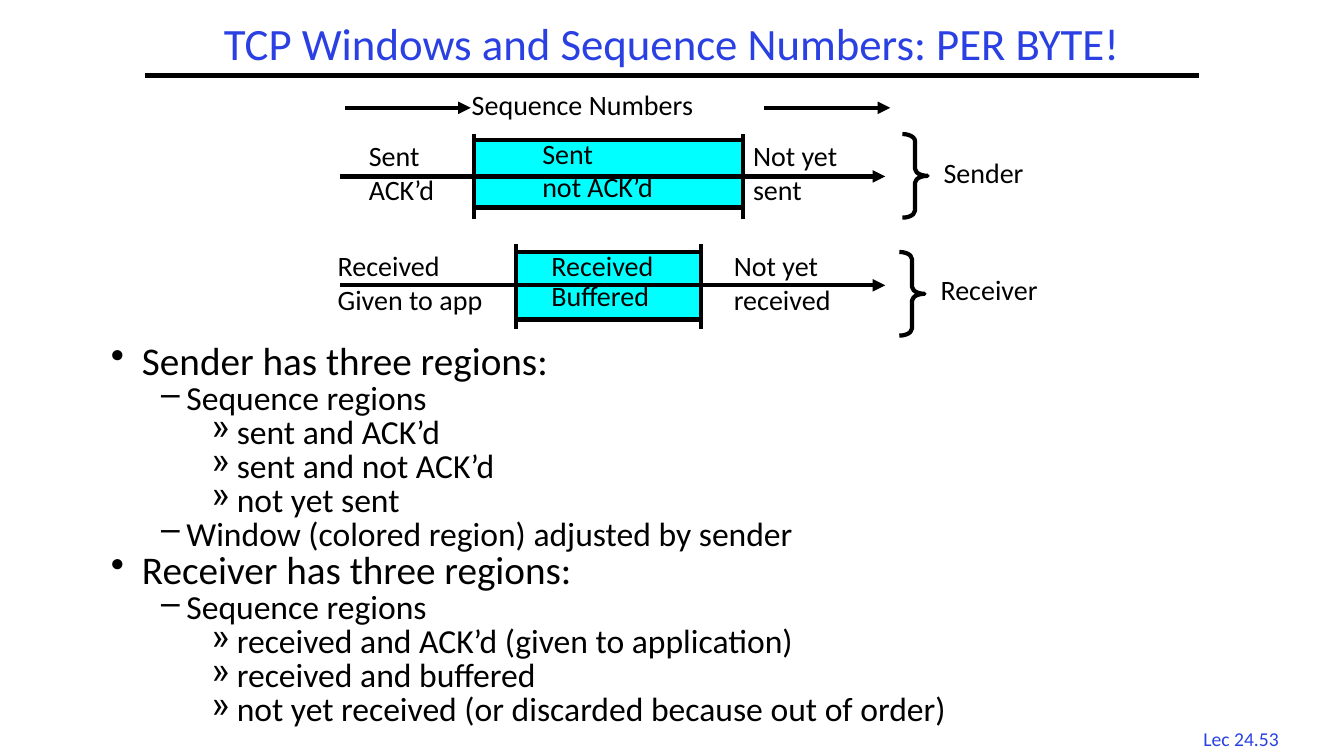
import pptx
import pptx.util
import pptx.dml.color
import pptx.enum.shapes
import pptx.enum.text
from pptx.oxml.ns import qn
from lxml import etree

Inches = pptx.util.Inches
Pt = pptx.util.Pt
SHAPE = pptx.enum.shapes.MSO_SHAPE
ALIGN = pptx.enum.text.PP_ALIGN
ANCHOR = pptx.enum.text.MSO_ANCHOR

BLACK = pptx.dml.color.RGBColor(0x00, 0x00, 0x00)
BLUE = pptx.dml.color.RGBColor(0x2A, 0x40, 0xE2)
CYAN = pptx.dml.color.RGBColor(0x00, 0xFF, 0xFF)
FONT = "Calibri"

# Outline levels: left indent, hanging indent, bullet, text size
LEVELS = [(0.31, 0.31, "•", 28), (0.75, 0.25, "–", 24), (1.25, 0.25, "»", 24)]

REGIONS = [
    (0, "Sender has three regions:"),
    (1, "Sequence regions"),
    (2, "sent and ACK’d"),
    (2, "sent and not ACK’d"),
    (2, "not yet sent"),
    (1, "Window (colored region) adjusted by sender"),
    (0, "Receiver has three regions:"),
    (1, "Sequence regions"),
    (2, "received and ACK’d (given to application)"),
    (2, "received and buffered"),
    (2, "not yet received (or discarded because out of order)"),
]


def set_all(target, formats):
    for name, value in formats.items():
        setattr(target, name, value)


def write(paragraph, text, size, color=BLACK, **formats):
    run = paragraph.add_run()
    run.text = text
    set_all(run.font, {"name": FONT, "size": Pt(size)})
    run.font.color.rgb = color
    set_all(paragraph, formats)


def add_label(slide, place, lines, size=20, color=BLACK, spacings=(1, 1), align=ALIGN.LEFT):
    frame = slide.shapes.add_textbox(*map(Inches, place)).text_frame
    frame.word_wrap = False
    for index, (line, spacing) in enumerate(zip(lines, spacings)):
        paragraph = frame.add_paragraph() if index else frame.paragraphs[0]
        write(paragraph, line, size, color, line_spacing=spacing, alignment=align)


def add_line(slide, x1, y1, x2, y2, arrow=False):
    line = slide.shapes.add_connector(
        pptx.enum.shapes.MSO_CONNECTOR.STRAIGHT, *map(Inches, (x1, y1, x2, y2)))
    set_all(line.line, {"width": Pt(3)})
    line.line.color.rgb = BLACK
    properties = line._element.spPr
    if arrow:
        etree.SubElement(properties.find(qn("a:ln")), qn("a:tailEnd"), type="triangle")
    etree.SubElement(properties, qn("a:effectLst"))


def add_outlined(slide, kind, place, fill=None):
    shape = slide.shapes.add_shape(kind, *map(Inches, place))
    shape.shadow.inherit = False
    if fill is None:
        shape.fill.background()
    else:
        shape.fill.solid()
        shape.fill.fore_color.rgb = fill
    shape.line.width = Pt(3)
    shape.line.color.rgb = BLACK
    return shape


def add_window(slide, left, right, top, tick_top, axis_y):
    """Coloured window on a sequence axis, with a tick at each edge."""
    add_outlined(slide, SHAPE.RECTANGLE, (left, top, right - left, 0.67), CYAN)
    add_line(slide, 3.37, axis_y, 8.78, axis_y, arrow=True)
    for edge in (left, right):
        add_line(slide, edge, tick_top, edge, tick_top + 0.84)


def add_brace(slide, left, top):
    brace = add_outlined(slide, SHAPE.RIGHT_BRACE, (left, top, 0.25, 0.83))
    brace.adjustments[0] = 0.278


def add_title(slide, text):
    title = slide.shapes.title
    set_all(title, {"left": Inches(1), "top": Inches(0.17),
                    "width": Inches(11.33), "height": Inches(0.58)})
    set_all(title.text_frame, {"vertical_anchor": ANCHOR.MIDDLE, "word_wrap": True,
                               "auto_size": pptx.enum.text.MSO_AUTO_SIZE.NONE})
    write(title.text_frame.paragraphs[0], text, 32, BLUE,
          alignment=ALIGN.CENTER, line_spacing=0.9)


def add_outline(slide, place, items):
    frame = slide.shapes.add_textbox(*map(Inches, place)).text_frame
    frame.word_wrap = True
    for index, (level, text) in enumerate(items):
        paragraph = frame.add_paragraph() if index else frame.paragraphs[0]
        indent, hanging, bullet, size = LEVELS[level]
        write(paragraph, text, size, level=level, line_spacing=0.8,
              space_before=Pt(0.05 * size if index else 0))
        properties = paragraph._p.get_or_add_pPr()
        properties.set("marL", str(Inches(indent)))
        properties.set("indent", str(-Inches(hanging)))
        etree.SubElement(properties, qn("a:buChar"), char=bullet)


def main():
    deck = pptx.Presentation()
    set_all(deck, {"slide_width": Inches(13.33), "slide_height": Inches(7.5)})
    slide = deck.slides.add_slide(deck.slide_layouts[5])

    # Title, rule and page number
    add_title(slide, "TCP Windows and Sequence Numbers: PER BYTE!")
    add_line(slide, 1.44, 0.75, 11.89, 0.75)
    add_label(slide, (11.77, 7.16, 1.08, 0.33), ["Lec 24.53"], 14, BLUE, align=ALIGN.CENTER)

    # Direction of sequence numbers
    add_label(slide, (4.58, 0.82, 2.68, 0.43), ["Sequence Numbers"])
    for start in (3.42, 7.58):
        add_line(slide, start, 1.07, start + 1.25, 1.07, arrow=True)

    # Sender
    add_window(slide, 4.7, 7.37, top=1.39, tick_top=1.33, axis_y=1.75)
    add_label(slide, (3.56, 1.33, 1, 0.77), ["Sent", "ACK’d"])
    add_label(slide, (5.28, 1.37, 1.45, 0.7), ["Sent", "not ACK’d"], spacings=(0.8, 1))
    add_label(slide, (7.37, 1.33, 1.09, 0.77), ["Not yet", "sent"])
    add_brace(slide, 8.95, 1.33)
    add_label(slide, (9.26, 1.49, 1.1, 0.43), ["Sender"])

    # Receiver
    add_window(slide, 5.12, 6.95, top=2.5, tick_top=2.42, axis_y=2.83)
    add_label(slide, (3.25, 2.42, 1.79, 0.77), ["Received", "Given to app"])
    add_label(slide, (5.37, 2.45, 1.37, 0.7), ["Received", "Buffered"], spacings=(0.9, 0.9))
    add_label(slide, (7.18, 2.42, 1.26, 0.77), ["Not yet", "received"])
    add_brace(slide, 8.92, 2.5)
    add_label(slide, (9.23, 2.65, 1.31, 0.43), ["Receiver"])

    # Explanation of the regions
    add_outline(slide, (1, 3.38, 12.18, 3.5), REGIONS)

    deck.save("out.pptx")


if __name__ == "__main__":
    main()
